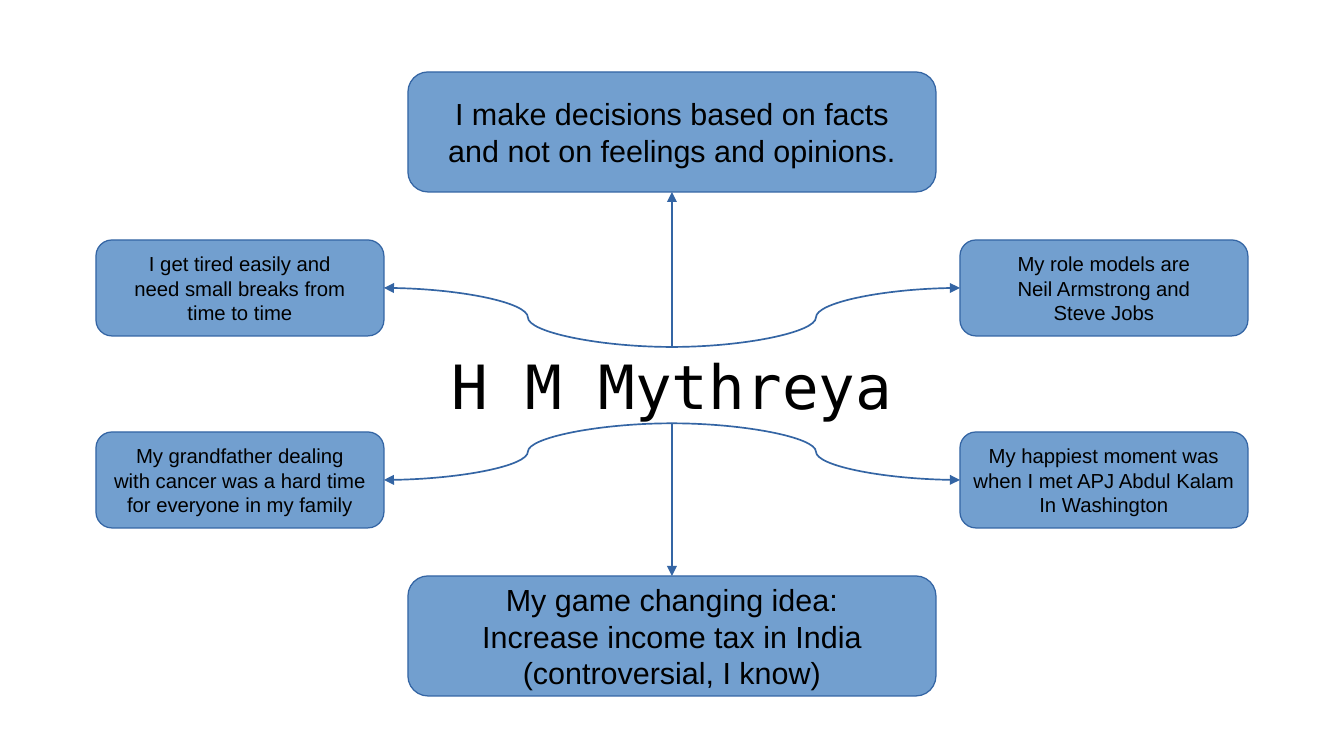
"""Build a mind map slide: a name in the centre with six linked statements."""
from lxml import etree
from pptx import Presentation
from pptx.dml.color import RGBColor
from pptx.enum.shapes import MSO_CONNECTOR, MSO_SHAPE
from pptx.enum.text import MSO_ANCHOR, PP_ALIGN
from pptx.oxml.ns import qn
from pptx.util import Cm, Pt

CURVE = MSO_CONNECTOR.CURVE
ROUNDED_BOX = MSO_SHAPE.FLOWCHART_ALTERNATE_PROCESS
CENTER = PP_ALIGN.CENTER
MIDDLE = MSO_ANCHOR.MIDDLE

COLUMNS, ROWS = 28, 15.75
MIDDLE_COLUMN = COLUMNS / 2
NAME_WIDTH, NAME_TOP, NAME_BOTTOM = 10, 7.23, 8.82
LARGE_BOX = (11, 2.5, 18)
SMALL_BOX = (6, 2, 12)
LEFT_CENTER, RIGHT_CENTER = 5, 23

STATEMENTS = [
    (MIDDLE_COLUMN, 1.5, LARGE_BOX,
     ["I make decisions based on facts", "and not on feelings and opinions."]),
    (RIGHT_CENTER, 5, SMALL_BOX,
     ["My role models are", "Neil Armstrong and", "Steve Jobs"]),
    (LEFT_CENTER, 5, SMALL_BOX,
     ["I get tired easily and", "need small breaks from", "time to time"]),
    (LEFT_CENTER, 9, SMALL_BOX,
     ["My grandfather dealing", "with cancer was a hard time",
      "for everyone in my family"]),
    (MIDDLE_COLUMN, 12, LARGE_BOX,
     ["My game changing idea:", "Increase income tax in India",
      "(controversial, I know)"]),
    (RIGHT_CENTER, 9, SMALL_BOX,
     ["My happiest moment was", "when I met APJ Abdul Kalam",
      "In Washington"]),
]


def color(hex_string):
    """Turn a hex string into a colour."""
    return RGBColor.from_string(hex_string)


class MindMap:
    """Hold the style and the current slide, measured in grid columns and rows."""

    text_color = "000000"
    box_fill = "729FCF"
    line_color = "3465A4"
    box_font = "Arial"
    name_font = "DejaVu Sans Mono"

    def __init__(self, slide):
        """Keep the slide that receives the elements."""
        self.slide = slide

    def add_lines(self, frame, lines, font, size):
        """Add centred lines, one paragraph each."""
        frame.vertical_anchor = MIDDLE
        for index, line in enumerate(lines):
            paragraph = frame.add_paragraph() if index else frame.paragraphs[0]
            paragraph.alignment = CENTER
            run = paragraph.add_run()
            run.text = line
            run.font.name = font
            run.font.size = Pt(size)
            run.font.color.rgb = color(self.text_color)

    def name(self, text, width, top, bottom):
        """Add the central name."""
        left = MIDDLE_COLUMN - width / 2
        shape = self.slide.shapes.add_textbox(
            Cm(left), Cm(top), Cm(width), Cm(bottom - top))
        frame = shape.text_frame
        frame.word_wrap = True
        frame.margin_left = frame.margin_right = 0
        frame.margin_top = frame.margin_bottom = 0
        self.add_lines(frame, [text], self.name_font, 36)

    def box(self, center, top, kind, lines):
        """Add a rounded statement box."""
        width, height, size = kind
        shape = self.slide.shapes.add_shape(
            ROUNDED_BOX, Cm(center - width / 2), Cm(top), Cm(width), Cm(height))
        shape.shadow.inherit = False
        shape.fill.solid()
        shape.fill.fore_color.rgb = color(self.box_fill)
        shape.line.color.rgb = color(self.line_color)
        shape.line.width = Pt(0)
        shape.text_frame.word_wrap = False
        self.add_lines(shape.text_frame, lines, self.box_font, size)

    def arrow(self, start, end):
        """Add a curved arrow between two grid points."""
        connector = self.slide.shapes.add_connector(
            CURVE, *(Cm(value) for value in (*start, *end)))
        connector.line.color.rgb = color(self.line_color)
        connector.line.width = Pt(1)
        properties = connector._element.spPr
        outline = properties.find(qn("a:ln"))
        etree.SubElement(outline, qn("a:tailEnd"), type="triangle")
        etree.SubElement(properties, qn("a:effectLst"))

    def link(self, center, top, kind):
        """Link the name to the nearest side of a box."""
        width, height, _ = kind
        above = top < NAME_TOP
        start = (MIDDLE_COLUMN, NAME_TOP if above else NAME_BOTTOM)
        if center == MIDDLE_COLUMN:
            end = (center, top + height if above else top)
        else:
            toward_name = 1 if center < MIDDLE_COLUMN else -1
            end = (center + toward_name * width / 2, top + height / 2)
        self.arrow(start, end)


presentation = Presentation()
presentation.slide_width = Cm(COLUMNS)
presentation.slide_height = Cm(ROWS)
blank_layout = presentation.slide_layouts[6]
mind_map = MindMap(presentation.slides.add_slide(blank_layout))

mind_map.name("H M Mythreya", NAME_WIDTH, NAME_TOP, NAME_BOTTOM)
for center, top, kind, lines in STATEMENTS:
    mind_map.box(center, top, kind, lines)
for center, top, kind, _ in STATEMENTS:
    mind_map.link(center, top, kind)

presentation.save("out.pptx")
